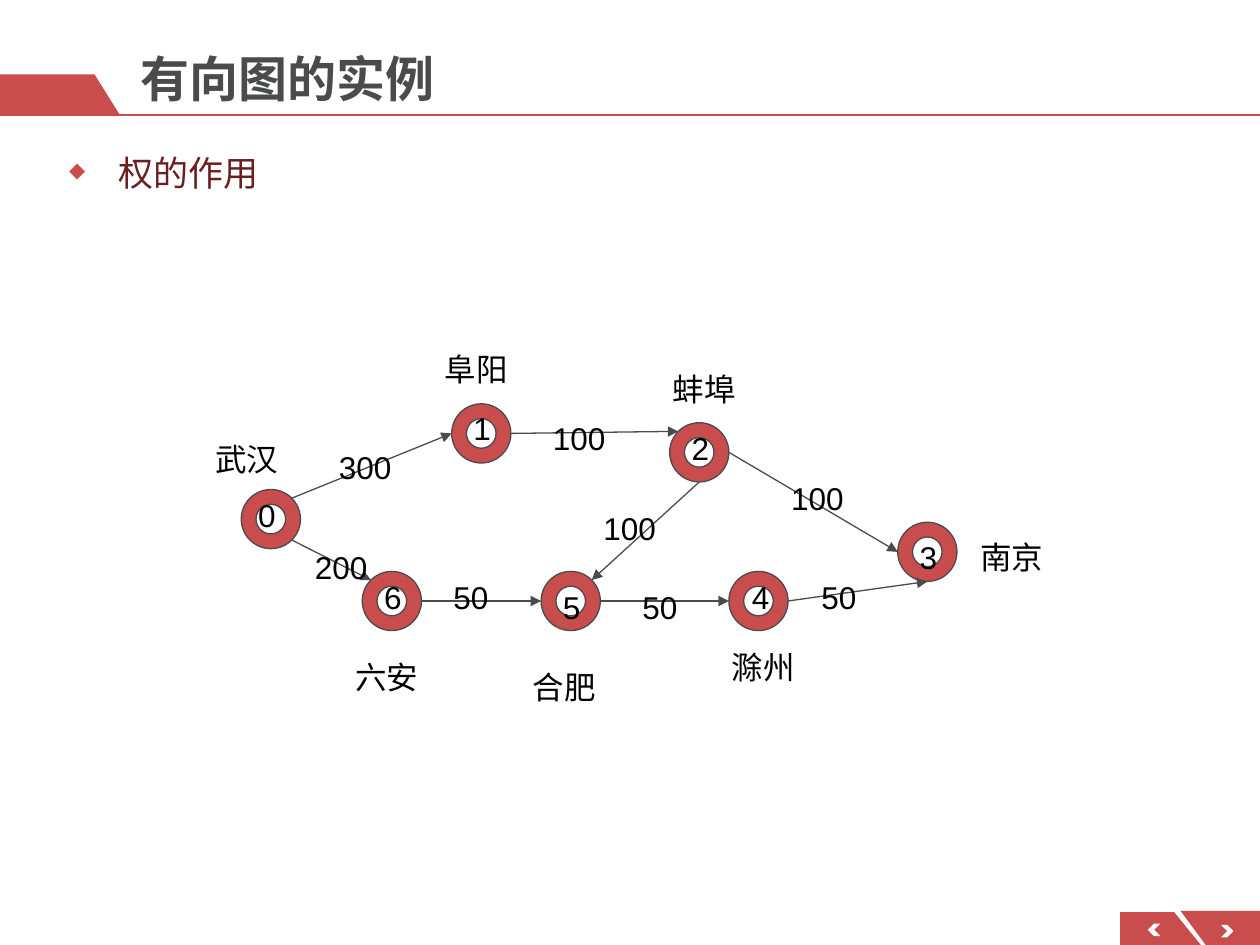
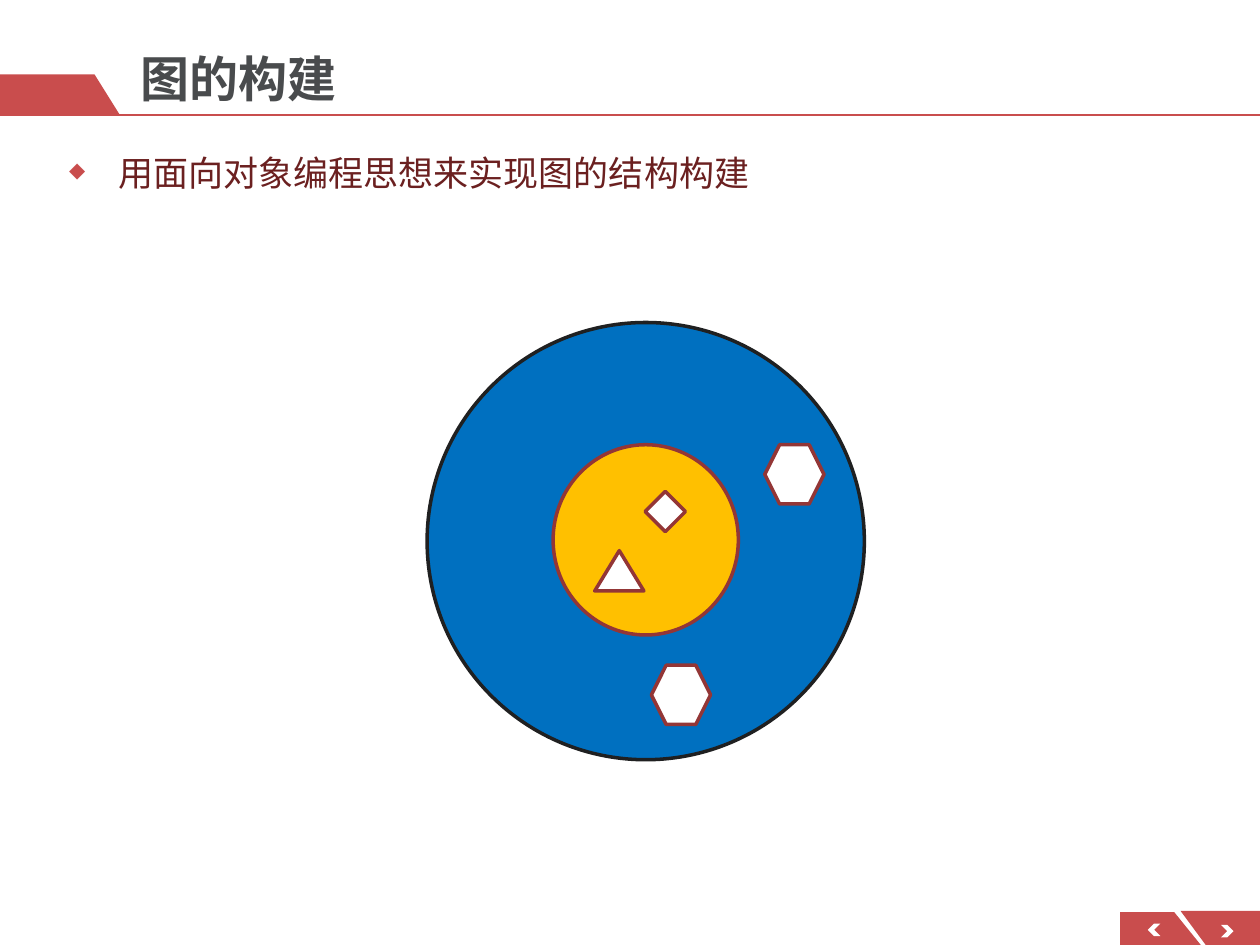
import math

import pptx
import pptx.dml.color
import pptx.enum.shapes
import pptx.enum.text
import pptx.oxml
import pptx.oxml.ns
import pptx.util
from pptx.util import Inches

COLORS = {
    "red": "C94D4D", "dark_red": "933636", "wine": "6B2020",
    "gray": "494B4D", "black": "000000", "ink": "1F2021",
    "white": "FFFFFF", "blue": "0070C0", "amber": "FFC000",
}
FONT = "Arial"
SHAPES = pptx.enum.shapes.MSO_SHAPE
RING_SIZE = 0.47

# Ring centre, number position, city name and its position
CITIES = {
    0: ((2.15, 4.12), (1.95, 3.89), "武汉", (1.61, 3.44)),
    1: ((3.82, 3.44), (3.66, 3.2), "阜阳", (3.43, 2.73)),
    2: ((5.55, 3.59), (5.39, 3.36), "蚌埠", (5.24, 2.89)),
    3: ((7.36, 4.38), (7.2, 4.22), "南京", (7.68, 4.22)),
    4: ((6.02, 4.77), (5.87, 4.54), "滁州", (5.71, 5.09)),
    5: ((4.53, 4.77), (4.37, 4.62), "合肥", (4.13, 5.25)),
    6: ((3.11, 4.77), (2.95, 4.54), "六安", (2.72, 5.17)),
}
# From city and angle, to city and angle, weight and its position
ROADS = [
    (0, 45, 1, 180, "300", (2.59, 3.51)),
    (1, 0, 2, 135, "100", (4.29, 3.28)),
    (2, 0, 3, 180, "100", (6.18, 3.75)),
    (2, 270, 5, 45, "100", (4.69, 3.99)),
    (0, -45, 6, 135, "200", (2.4, 4.3)),
    (6, 0, 5, 180, "50", (3.5, 4.54)),
    (5, 0, 4, 180, "50", (5, 4.62)),
    (4, 0, 3, 270, "50", (6.42, 4.54)),
]


def rgb(name):
    return pptx.dml.color.RGBColor.from_string(COLORS[name])


def add_xml(parent, tag, **attributes):
    child = pptx.oxml.parse_xml(f"<a:{tag} {pptx.oxml.ns.nsdecls('a')}/>")
    for key, value in attributes.items():
        child.set(key, str(value))
    parent.append(child)
    return child


def rim_point(city, angle):
    (x, y), radius = CITIES[city][0], RING_SIZE / 2
    turn = math.radians(angle)
    return x + radius * math.cos(turn), y - radius * math.sin(turn)


class Deck:
    def __init__(self):
        self.prs = pptx.Presentation()
        self.prs.slide_width, self.prs.slide_height = Inches(10), Inches(7.5)
        self.slide = None

    def paint(self, shape, fill, line=None, width=0.75):
        shape.shadow.inherit = False
        shape.fill.solid()
        shape.fill.fore_color.rgb = rgb(fill)
        if line:
            shape.line.color.rgb = rgb(line)
            shape.line.width = pptx.util.Pt(width)
        else:
            shape.line.fill.background()

    def outline(self, points, fill):
        corners = [(Inches(x), Inches(y)) for x, y in points]
        builder = self.slide.shapes.build_freeform(*corners[0], scale=1.0)
        builder.add_line_segments(corners[1:], close=True)
        self.paint(builder.convert_to_shape(), fill)

    def chevron(self, tip, middle, direction):
        back, notch = tip - 0.1 * direction, tip - 0.05 * direction
        top, bottom = middle - 0.05, middle + 0.05
        self.outline([(back, top), (notch, top), (tip, middle),
                      (notch, bottom), (back, bottom), (notch, middle)], "white")

    def preset(self, kind, x, y, width, height, fill, line, line_width=2):
        shape = self.slide.shapes.add_shape(
            kind, Inches(x), Inches(y), Inches(width), Inches(height))
        self.paint(shape, fill, line, line_width)

    def line(self, start, end, color, width=0.75, arrow=False):
        connector = self.slide.shapes.add_connector(
            pptx.enum.shapes.MSO_CONNECTOR.STRAIGHT,
            *(Inches(length) for length in (*start, *end)))
        connector.line.color.rgb = rgb(color)
        connector.line.width = pptx.util.Pt(width)
        if arrow:
            add_xml(connector.line._get_or_add_ln(), "tailEnd", type="triangle")
        add_xml(connector._element.spPr, "effectLst")

    def text(self, words, x, y, width, height=0.4, size=18, color="black",
             bold=False, bullet=False):
        box = self.slide.shapes.add_textbox(
            Inches(x), Inches(y), Inches(width), Inches(height))
        box.text_frame.word_wrap = True
        paragraph = box.text_frame.paragraphs[0]
        paragraph.text = words
        if bullet:
            properties = paragraph._p.get_or_add_pPr()
            properties.set("marL", str(Inches(0.39)))
            properties.set("indent", str(Inches(-0.39)))
            add_xml(add_xml(properties, "buClr"), "srgbClr", val=COLORS["red"])
            add_xml(properties, "buSzPct", val=60000)
            add_xml(properties, "buChar", char="◆")
            paragraph.alignment = pptx.enum.text.PP_ALIGN.JUSTIFY
        font = paragraph.font
        font.name, font.size, font.bold = FONT, pptx.util.Pt(size), bold
        font.color.rgb = rgb(color)
        return box.text_frame

    def new_slide(self, title, point):
        self.slide = self.prs.slides.add_slide(self.prs.slide_layouts[6])
        # Title band and rule
        self.outline([(0, 0.59), (0.75, 0.59), (0.95, 0.91), (0, 0.91)], "red")
        self.line((0, 0.91), (10, 0.91), "red", width=1)
        # Page-turn corner
        self.outline([(8.89, 7.24), (9.32, 7.24), (9.53, 7.5), (8.89, 7.5)], "red")
        self.chevron(9.11, 7.38, -1)
        self.outline([(10, 7.5), (9.57, 7.5), (9.37, 7.23), (10, 7.23)], "red")
        self.chevron(9.79, 7.39, 1)
        # Title and bullet
        heading = self.text(title, 1.02, 0.21, 7.59, 0.7, 28, "gray", bold=True)
        heading.vertical_anchor = pptx.enum.text.MSO_ANCHOR.BOTTOM
        heading.paragraphs[0].line_spacing = 0.9
        self.text(point, 0.45, 1.15, 9.16, 5.61, 20, "wine", bullet=True)


def build_road_map(deck):
    deck.new_slide("有向图的实例", "权的作用")
    # Cities as rings
    for (x, y), *_ in CITIES.values():
        deck.preset(SHAPES.DONUT, x - RING_SIZE / 2, y - RING_SIZE / 2,
                    RING_SIZE, RING_SIZE, "red", "gray", 0.75)
    # Directed roads
    for origin, leave, target, arrive, *_ in ROADS:
        deck.line(rim_point(origin, leave), rim_point(target, arrive),
                  "gray", arrow=True)
    # Numbers, names and weights
    for number, (_, number_at, name, name_at) in CITIES.items():
        deck.text(str(number), *number_at, 0.34)
        deck.text(name, *name_at, 0.75)
    for *_, weight, weight_at in ROADS:
        deck.text(weight, *weight_at, 0.68)


def build_object_model(deck):
    deck.new_slide("图的构建", "用面向对象编程思想来实现图的结构构建")
    # Outer and inner circles
    deck.preset(SHAPES.OVAL, 3.39, 2.56, 3.47, 3.47, "blue", "ink")
    deck.preset(SHAPES.OVAL, 4.39, 3.53, 1.47, 1.51, "amber", "dark_red")
    # Members inside them
    for kind, *place in [
        (SHAPES.DIAMOND, 5.12, 3.9, 0.32, 0.32),
        (SHAPES.ISOSCELES_TRIANGLE, 4.72, 4.37, 0.39, 0.32),
        (SHAPES.HEXAGON, 6.07, 3.53, 0.47, 0.47),
        (SHAPES.HEXAGON, 5.17, 5.28, 0.47, 0.47),
    ]:
        deck.preset(kind, *place, "white", "dark_red")


def main():
    deck = Deck()
    build_road_map(deck)
    build_object_model(deck)
    deck.prs.save("out.pptx")


if __name__ == "__main__":
    main()
